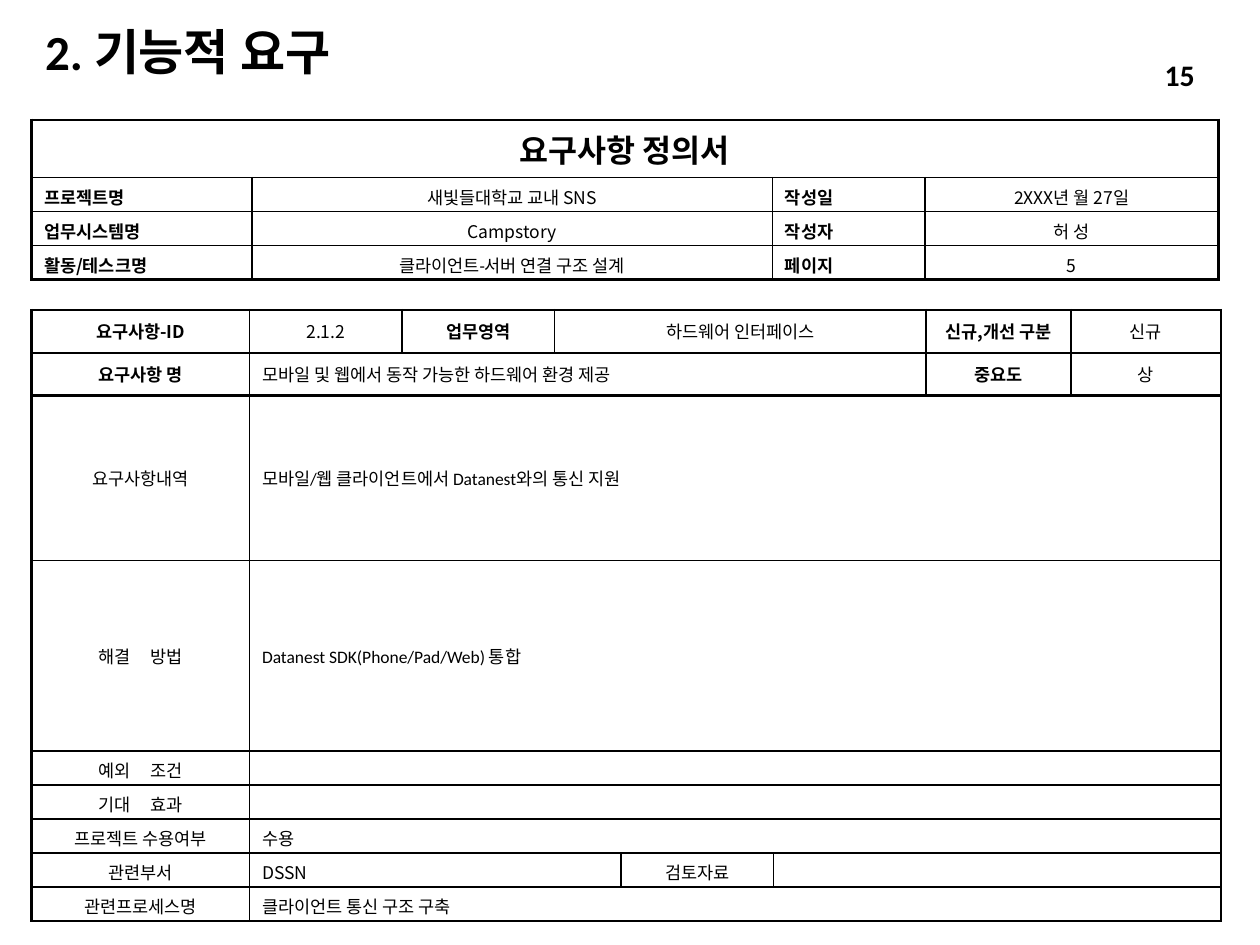
from lxml import etree
from pptx import Presentation
from pptx import util as u
from pptx.dml.color import RGBColor
from pptx.enum import text
from pptx.oxml.ns import qn

AL = text.PP_ALIGN
MID, TOP = text.MSO_ANCHOR.MIDDLE, text.MSO_ANCHOR.TOP
SANS, LATIN = "Noto Sans CJK KR", "Calibri"

# look: (alignment, bold, font)
LOOKS = {
    "head": (AL.CENTER, True, SANS),
    "mid": (AL.CENTER, False, SANS),
    "task": (AL.CENTER, False, LATIN),
    "key": (AL.JUSTIFY, True, SANS),
    "left": (AL.LEFT, False, SANS),
    "note": (AL.LEFT, False, LATIN),
}


def rgb(code):
    return RGBColor.from_string(code)


class Deck:
    """Style and current slide; lengths are in grid units, 100 columns by 75 rows."""
    ink, thin, thick = "000000", 1, 1.5

    def __init__(self):
        self.prs = Presentation()
        self.prs.slide_width, self.prs.slide_height = u.Inches(10), u.Inches(7.5)
        self.slide = self.prs.slides.add_slide(self.prs.slide_layouts[6])

    def grid(self, *vals):
        return [int(self.prs.slide_width * v / 100) for v in vals]

    def run(self, par, words, size, bold, face):
        run = par.add_run()
        run.text = words
        font = run.font
        font.size, font.bold, font.name = u.Pt(size), bold, face
        font.color.rgb = rgb(self.ink)
        props = run._r.get_or_add_rPr()
        etree.SubElement(props, qn("a:ea")).set("typeface", SANS)
        return props

    def label(self, box, words, size, align):
        frame = self.slide.shapes.add_textbox(*self.grid(*box)).text_frame
        frame.word_wrap, frame.vertical_anchor = True, MID
        par = frame.paragraphs[0]
        par.alignment, par.line_spacing = align, 0.9
        self.run(par, words, size, True, LATIN)

    def edge(self, cell, widths):
        """Draw the left, right, top and bottom borders, ahead of the fill."""
        props = cell._tc.get_or_add_tcPr()
        for i, (side, width) in enumerate(zip("LRTB", widths)):
            line = etree.Element(qn("a:ln" + side), w=str(u.Pt(width)))
            fill = etree.SubElement(line, qn("a:solidFill"))
            etree.SubElement(fill, qn("a:srgbClr")).set("val", self.ink)
            props.insert(i, line)

    def fill(self, cell, words, look, size, anchor):
        """Write a cell; a tab in the words becomes one widened space."""
        align, bold, face = LOOKS[look]
        cell.vertical_anchor = anchor
        par = cell.text_frame.paragraphs[0]
        par.alignment, par.space_before = align, u.Pt(size * 0.2)
        for i, part in enumerate(words.split("\t")):
            if i:
                self.run(par, " ", size, bold, face).set("spc", "900")
            if part:
                self.run(par, part, size, bold, face)

    def table(self, spot, cols, rows, data, heavy=(), title=None, anchor=MID):
        """None in data joins the cell to its left; heavy lists thick row lines."""
        nr, nc = len(rows), len(cols)
        tab = self.slide.shapes.add_table(
            nr, nc, *self.grid(*spot, sum(cols), sum(rows))).table
        tab.first_row = tab.horz_banding = False
        for part, size in zip(tab.columns, self.grid(*cols)):
            part.width = size
        for part, size in zip(tab.rows, self.grid(*rows)):
            part.height = size
        lines = {0, nr, *heavy}

        def weight(test):
            return self.thick if test else self.thin

        for r, line in enumerate(data):
            for c, item in enumerate(line):
                cell = tab.cell(r, c)
                cell.fill.background()
                self.edge(cell, (weight(c == 0), weight(c == nc - 1),
                                 weight(r in lines), weight(r + 1 in lines)))
                big = title and r == 0
                if item:
                    self.fill(cell, *item, title if big else 10, MID if big else anchor)
                    end = c + 1
                    while end < nc and line[end] is None:
                        end += 1
                    if end > c + 1:
                        cell.merge(tab.cell(r, end - 1))
                        # the last joined cell carries the right-hand border
                        right = cell._tc.tcPr.find(qn("a:lnR"))
                        right.set("w", str(u.Pt(weight(end == nc))))
                par = cell.text_frame.paragraphs[0]
                par._p.get_or_add_endParaRPr().set("sz", "1000")


def wide(name, words="", look="note"):
    return [(name, "mid"), (words, look)] + [None] * 6


def main():
    deck = Deck()
    deck.label((2.6, 2.1, 53.6, 4.4), "2. 기능적 요구", 28, AL.LEFT)

    needs = [
        [("요구사항-ID", "head"), ("2.1.2", "mid"), ("업무영역", "head"),
         ("하드웨어 인터페이스", "mid"), None, None,
         ("신규,개선 구분", "head"), ("신규", "mid")],
        [("요구사항 명", "head"),
         ("모바일 및 웹에서 동작 가능한 하드웨어 환경 제공", "note"),
         None, None, None, None, ("중요도", "head"), ("상", "mid")],
        wide("요구사항내역", "모바일/웹 클라이언트에서 Datanest와의 통신 지원"),
        wide("해결\t방법", "Datanest SDK(Phone/Pad/Web) 통합"),
        wide("예외\t조건"),
        wide("기대\t효과"),
        wide("프로젝트 수용여부", "수용", "left"),
        [("관련부서", "mid"), ("DSSN", "left"), None, None,
         ("검토자료", "mid"), ("", "left"), None, None],
        wide("관련프로세스명", "클라이언트 통신 구조 구축"),
    ]
    deck.table((2.5, 24.6), (17.3, 12.1, 12.1, 5.3, 12.1, 12.1, 11.5, 11.9),
               [3.4] * 2 + [13.1, 15.1] + [2.7] * 5, needs, heavy=(1, 2))

    facts = [
        ("프로젝트명", "새빛들대학교 교내 SNS", "mid", "작성일", "2XXX년 월 27일"),
        ("업무시스템명", "Campstory", "mid", "작성자", "허 성"),
        ("활동/테스크명", "클라이언트-서버 연결 구조 설계", "task", "페이지", "5"),
    ]
    sheet = [[("요구사항 정의서", "head"), None, None, None]]
    sheet += [[(name, "key"), (words, look), (tag, "key"), (val, "mid")]
              for name, words, look, tag, val in facts]
    deck.table((2.5, 9.5), (17.5, 41.3, 12.1, 23.3), [4.6] + [2.7] * 3,
               sheet, title=18, anchor=TOP)

    deck.label((79.6, 4.1, 16.2, 4), "15", 17, AL.RIGHT)
    deck.prs.save("out.pptx")


if __name__ == "__main__":
    main()
